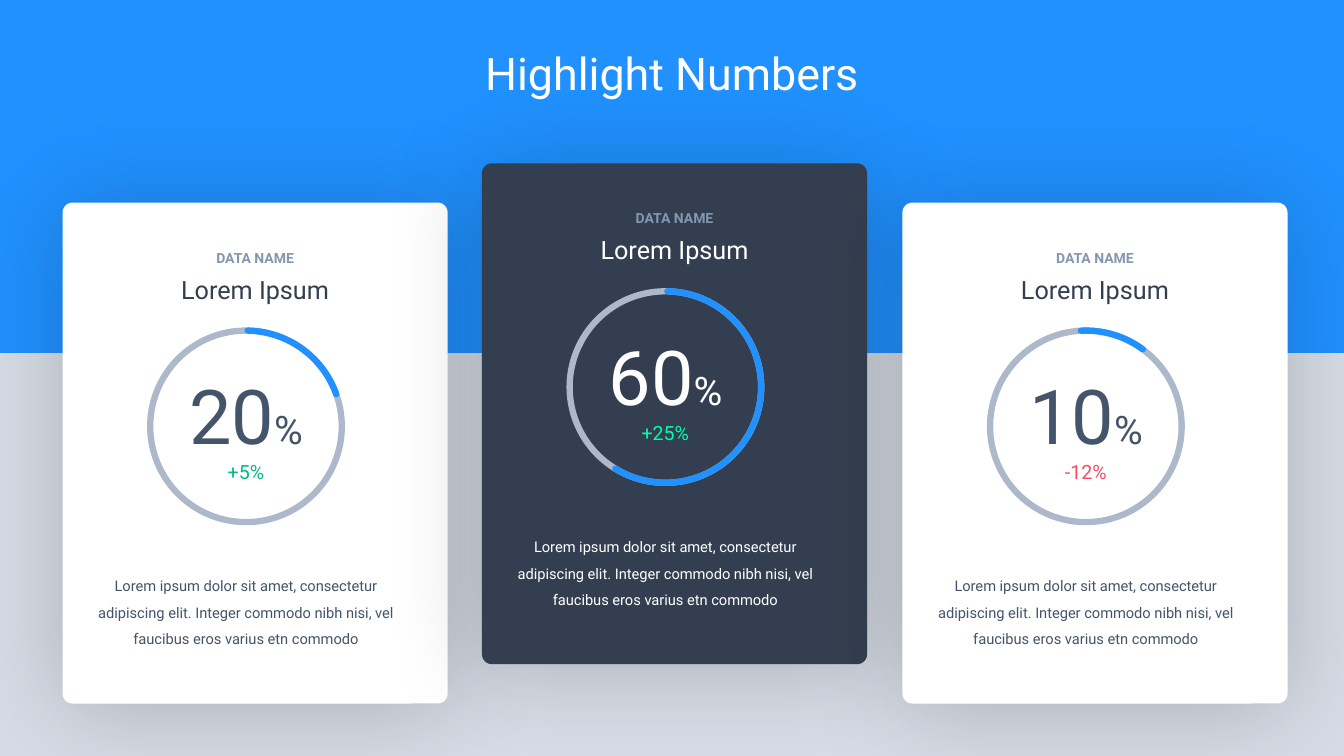
"""Build a slide with three cards that highlight percentages."""
from dataclasses import dataclass

from lxml import etree
from pptx import Presentation
from pptx import util as u
from pptx.dml.color import RGBColor
from pptx.enum import shapes, text
from pptx.oxml.ns import qn

BLUE, WHITE, NAVY, SLATE = "2091FF", "FFFFFF", "333F50", "44546A"
GREY, STEEL, PALE = "ADB9CA", "8497B0", "D6DCE5"
FONT = "Roboto"
CARD_W, CARD_H, RING = 3.82, 4.97, 1.9
BODY = ("Lorem ipsum dolor sit amet, consectetur adipiscing elit. Integer "
        "commodo nibh nisi, vel faucibus eros varius etn commodo")
KIND = shapes.MSO_SHAPE


@dataclass
class Card:
    left: float
    top: float
    fill: str
    head: str
    ink: str
    value: str
    change: str
    tint: str
    start: float
    end: float


CARDS = [
    Card(0.62, 2.01, WHITE, NAVY, SLATE, "20", "+5%", "01BE7D", 271.04, 340.48),
    Card(4.78, 1.62, NAVY, WHITE, WHITE, "60", "+25%", "02FDA7", 271.18, 121.51),
    Card(8.95, 2.01, WHITE, NAVY, SLATE, "10", "-12%", "FB4B5E", 267.04, 306.48),
]


def paint(form, color: str) -> None:
    """Give a fill, line or font colour format a solid hex colour."""
    if hasattr(form, "solid"):
        form.solid()
        form = form.fore_color
    form.rgb = RGBColor.from_string(color)


def style(run, size: float, color: str, bold: bool = False) -> None:
    """Format one run."""
    run.font.name, run.font.size, run.font.bold = FONT, u.Pt(size), bold
    paint(run.font.color, color)


def add_form(slide, kind, left: float, top: float, width: float, height: float,
             fill: str = "", line: str = ""):
    """Add a preset shape without a theme shadow."""
    form = slide.shapes.add_shape(kind, *map(u.Inches, (left, top, width, height)))
    form.shadow.inherit = False
    if fill:
        paint(form.fill, fill)
    else:
        form.fill.background()
    if line:
        paint(form.line.fill, line)
        form.line.width = u.Pt(4.5)
    else:
        form.line.fill.background()
    return form


def add_shade(form) -> None:
    """Add a wide soft shadow below a shape."""
    effects = form._element.spPr.find(qn("a:effectLst"))
    shade = etree.SubElement(effects, qn("a:outerShdw"), blurRad=str(u.Pt(71)),
                             dist=str(u.Pt(3)), dir="5400000", algn="t",
                             rotWithShape="0")
    tone = etree.SubElement(shade, qn("a:srgbClr"), val="000000")
    etree.SubElement(tone, qn("a:alpha"), val="20000")


def add_words(slide, left: float, top: float, width: float, height: float,
              words: str, size: float, color: str, bold: bool = False,
              space: float = 1.0) -> None:
    """Add a centred text box."""
    box = slide.shapes.add_textbox(*map(u.Inches, (left, top, width, height)))
    frame = box.text_frame
    frame.word_wrap = True
    frame.auto_size = text.MSO_AUTO_SIZE.SHAPE_TO_FIT_TEXT
    frame.text = words
    para = frame.paragraphs[0]
    para.alignment, para.line_spacing = text.PP_ALIGN.CENTER, space
    style(para.runs[0], size, color, bold)


def add_panel(slide, card: Card) -> None:
    """Draw the rounded panel of a card."""
    panel = add_form(slide, KIND.ROUNDED_RECTANGLE, card.left, card.top,
                     CARD_W, CARD_H, card.fill)
    panel.adjustments[0] = 0.026
    add_shade(panel)


def add_ring(slide, card: Card) -> None:
    """Draw the progress ring and its numbers."""
    place = (card.left + 0.87, card.top + 1.27, RING, RING)
    ring = add_form(slide, KIND.OVAL, *place, line=GREY)
    frame = ring.text_frame
    frame.vertical_anchor = text.MSO_ANCHOR.MIDDLE
    first, last = frame.paragraphs[0], frame.add_paragraph()
    first.text, last.text = card.value, card.change
    first.add_run().text = "%"
    first.alignment = last.alignment = text.PP_ALIGN.CENTER
    style(first.runs[0], 54, card.ink)
    style(first.runs[1], 28, card.ink)
    style(last.runs[0], 14, card.tint)

    arc = add_form(slide, KIND.ARC, *place, line=BLUE)
    for spot, angle in enumerate((card.start, card.end)):
        arc.adjustments[spot] = angle * 0.6
    arc.line._get_or_add_ln().set("cap", "rnd")


def add_text(slide, card: Card) -> None:
    """Write the label, name and body of a card."""
    add_words(slide, card.left, card.top + 0.33, CARD_W, 0.34,
              "DATA NAME", 10, STEEL, True, 1.5)
    add_words(slide, card.left, card.top + 0.66, CARD_W, 0.4,
              "Lorem Ipsum", 18, card.head)
    add_words(slide, card.left + 0.18, card.top + 3.58, 3.28, 0.87,
              BODY, 10.5, card.ink, space=1.5)


def set_title(slide) -> None:
    """Place and format the title in front of the band."""
    title = slide.shapes.title
    title.left, title.top, title.width, title.height = map(
        u.Inches, (0, 0.4, 13.33, 0.64))
    frame = title.text_frame
    frame.text = "Highlight Numbers"
    frame.word_wrap = True
    frame.auto_size = text.MSO_AUTO_SIZE.SHAPE_TO_FIT_TEXT
    frame.vertical_anchor = text.MSO_ANCHOR.TOP
    frame.paragraphs[0].alignment = text.PP_ALIGN.CENTER
    style(frame.paragraphs[0].runs[0], 32, WHITE)
    slide.shapes._spTree.append(title._element)


def main() -> None:
    """Build and save the deck."""
    deck = Presentation()
    deck.slide_width, deck.slide_height = u.Inches(13.33), u.Inches(7.5)
    slide = deck.slides.add_slide(deck.slide_layouts[5])
    paint(slide.background.fill, PALE)
    band = add_form(slide, KIND.ROUNDED_RECTANGLE, 0, 0, 13.33, 3.5, BLUE)
    band.adjustments[0] = 0
    for draw in (add_panel, add_ring, add_text):
        for card in CARDS:
            draw(slide, card)
    set_title(slide)
    deck.save("out.pptx")


if __name__ == "__main__":
    main()
